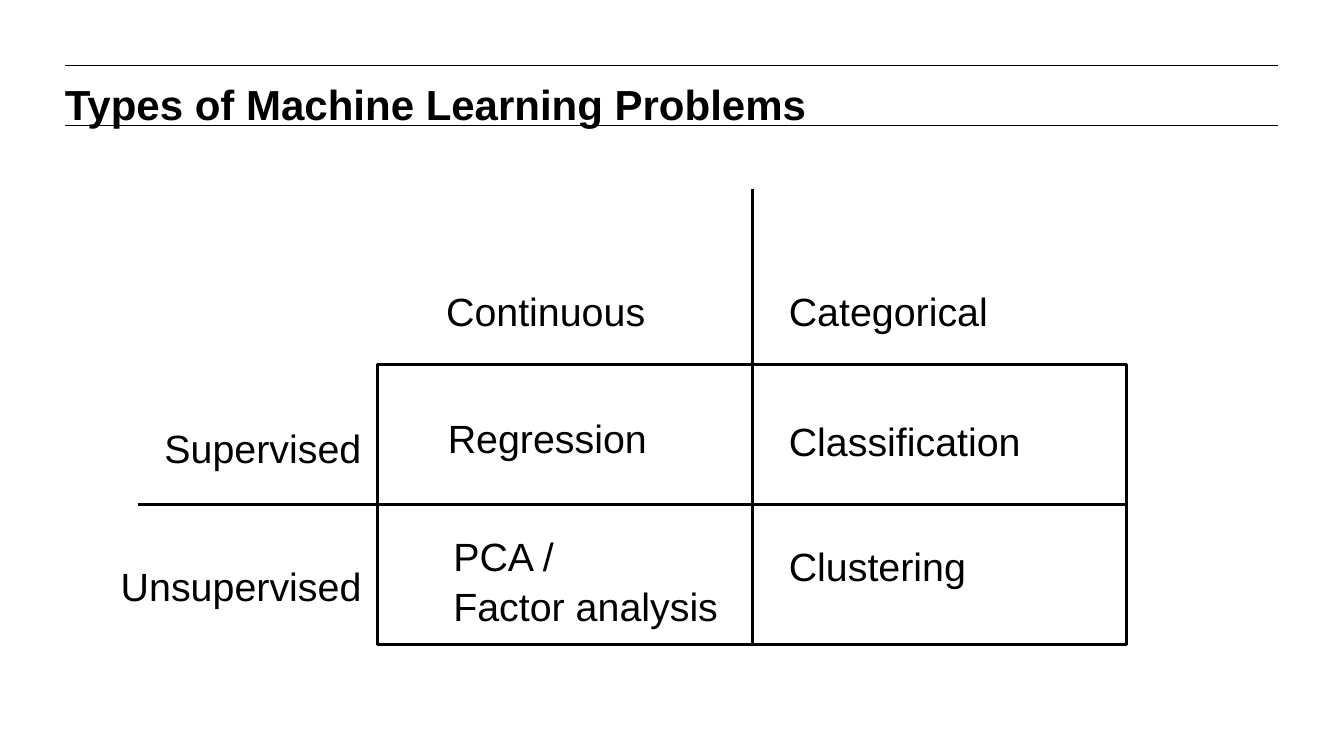
import dataclasses

import lxml.etree
import pptx
import pptx.dml.color
import pptx.enum.shapes
import pptx.enum.text
import pptx.oxml.ns
import pptx.util

SLIDE_WIDTH, SLIDE_HEIGHT = 14.22, 7.99
COLUMNS, ROWS = 24, 16
FONT = "Arial"
LINE_SPACING = 1.05
COLOURS = {"ink": "000000"}

# Grid places: columns from the left edge, rows from the top edge.
MARGIN, CONTENT_WIDTH = 1.16, 21.67
HEADER_RULES = (1.38, 2.66)
MATRIX_LEFT, MATRIX_TOP = 6.75, 7.73
CELL_WIDTH, CELL_HEIGHT = 6.68, 2.96
MATRIX_RIGHT = MATRIX_LEFT + 2 * CELL_WIDTH
MATRIX_BOTTOM = MATRIX_TOP + 2 * CELL_HEIGHT
MIDDLE_COLUMN = MATRIX_LEFT + CELL_WIDTH
MIDDLE_ROW = MATRIX_TOP + CELL_HEIGHT
RIGHT_TEXT = 13.92
HEADING_ROW = 5.93


@dataclasses.dataclass(frozen=True)
class Label:
    lines: tuple[str, ...]
    column: float
    row: float
    width: float
    height: float = 1.22
    size: int = 30
    bold: bool = False
    inset: float = 0.05
    fits_text: bool = True


@dataclasses.dataclass(frozen=True)
class Rule:
    start: tuple[float, float]
    end: tuple[float, float]
    weight: float


TITLE = Label(("Types of Machine Learning Problems",), MARGIN, 1.62, CONTENT_WIDTH,
              height=0.94, size=32, bold=True, inset=0, fits_text=False)

LABELS = (
    Label(("Continuous",), 7.8, HEADING_ROW, 3.92),
    Label(("Categorical",), RIGHT_TEXT, HEADING_ROW, 3.92),
    Label(("Supervised",), 2.77, 8.83, 3.88),
    Label(("Unsupervised",), 1.99, 11.77, 4.68),
    Label(("Regression",), 7.83, 8.63, 3.92),
    Label(("Classification",), RIGHT_TEXT, 8.69, 4.52),
    Label(("Clustering",), RIGHT_TEXT, 11.35, 3.53),
    Label(("PCA /", "Factor analysis"), 7.93, 11.13, 5.11, height=2.22),
)

HEADER = tuple(
    Rule((MARGIN, row), (MARGIN + CONTENT_WIDTH, row), 0.75) for row in HEADER_RULES
)
DIVIDERS = (
    Rule((2.46, MIDDLE_ROW), (MATRIX_RIGHT, MIDDLE_ROW), 2.25),
    Rule((MIDDLE_COLUMN, 4), (MIDDLE_COLUMN, MATRIX_BOTTOM), 2.25),
)


def across(columns: float) -> pptx.util.Length:
    return pptx.util.Inches(columns * SLIDE_WIDTH / COLUMNS)


def down(rows: float) -> pptx.util.Length:
    return pptx.util.Inches(rows * SLIDE_HEIGHT / ROWS)


def colour(name: str) -> pptx.dml.color.RGBColor:
    return pptx.dml.color.RGBColor.from_string(COLOURS[name])


def draw_rule(page: pptx.slide.Slide, rule: Rule) -> None:
    connector = page.shapes.add_connector(
        pptx.enum.shapes.MSO_CONNECTOR.STRAIGHT,
        across(rule.start[0]), down(rule.start[1]),
        across(rule.end[0]), down(rule.end[1]),
    )
    connector.line.color.rgb = colour("ink")
    connector.line.width = pptx.util.Pt(rule.weight)
    properties = connector._element.spPr
    lxml.etree.SubElement(properties, pptx.oxml.ns.qn("a:effectLst"))


def draw_matrix_frame(page: pptx.slide.Slide) -> None:
    frame = page.shapes.add_shape(
        pptx.enum.shapes.MSO_SHAPE.RECTANGLE,
        across(MATRIX_LEFT), down(MATRIX_TOP),
        across(2 * CELL_WIDTH), down(2 * CELL_HEIGHT),
    )
    frame.shadow.inherit = False
    frame.fill.background()
    frame.line.color.rgb = colour("ink")
    frame.line.width = pptx.util.Pt(2.25)


def draw_label(page: pptx.slide.Slide, label: Label) -> None:
    box = page.shapes.add_textbox(
        across(label.column), down(label.row), across(label.width), down(label.height)
    )
    text = box.text_frame
    text.word_wrap = not label.fits_text
    text.margin_left = text.margin_right = pptx.util.Inches(2 * label.inset)
    text.margin_top = text.margin_bottom = pptx.util.Inches(label.inset)
    if label.fits_text:
        text.auto_size = pptx.enum.text.MSO_AUTO_SIZE.SHAPE_TO_FIT_TEXT
    for index, line in enumerate(label.lines):
        para = text.add_paragraph() if index else text.paragraphs[0]
        para.line_spacing = LINE_SPACING
        span = para.add_run()
        span.text = line
        span.font.name = FONT
        span.font.size = pptx.util.Pt(label.size)
        span.font.bold = label.bold
        span.font.color.rgb = colour("ink")


def main() -> None:
    deck = pptx.Presentation()
    deck.slide_width = pptx.util.Inches(SLIDE_WIDTH)
    deck.slide_height = pptx.util.Inches(SLIDE_HEIGHT)
    page = deck.slides.add_slide(deck.slide_layouts[6])
    for rule in HEADER:
        draw_rule(page, rule)
    draw_label(page, TITLE)
    draw_matrix_frame(page)
    for rule in DIVIDERS:
        draw_rule(page, rule)
    for label in LABELS:
        draw_label(page, label)
    deck.save("out.pptx")


if __name__ == "__main__":
    main()
